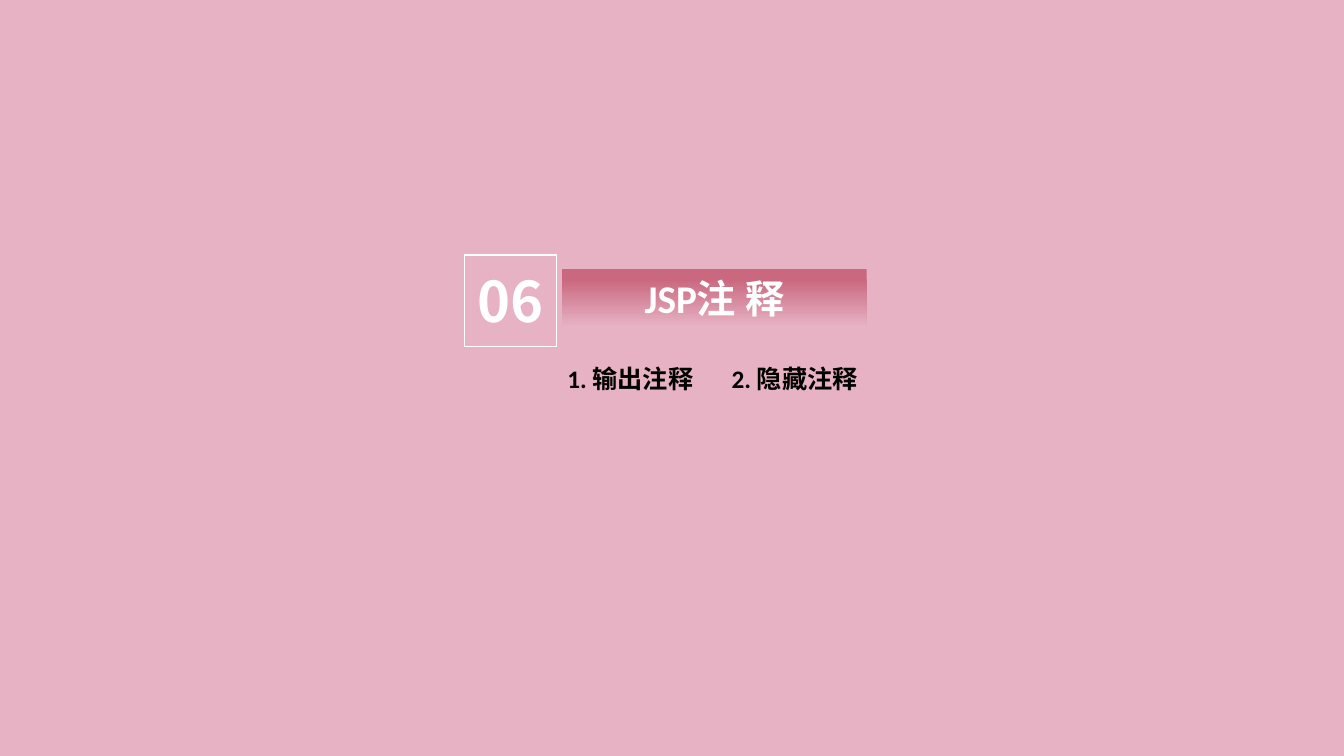
from copy import deepcopy

from lxml.etree import SubElement
from pptx import Presentation
from pptx.dml.color import RGBColor
from pptx.enum.shapes import MSO_SHAPE
from pptx.enum.text import MSO_AUTO_SIZE, PP_ALIGN
from pptx.oxml.ns import qn
from pptx.util import Cm, Pt

# Content
CHAPTER_NUMBER = "06"
CHAPTER_TITLE = "JSP注 释"
TOPICS = ["1. 输出注释", "2. 隐藏注释"]

# Style
PINK = RGBColor(0xE7, 0xB2, 0xC4)
ROSE = RGBColor(0xCA, 0x68, 0x7F)
WHITE = RGBColor(0xFF, 0xFF, 0xFF)
BLACK = RGBColor(0x00, 0x00, 0x00)
LATIN_FONT = "Calibri"
CHINESE_FONT = "Noto Sans CJK SC"
BANNER_STOPS = [(0, ROSE), (0.18, ROSE), (1, PINK)]

# Layout in centimetres: left, top, width, height
BANNER = (14.17, 6.78, 7.67, 1.45)
NUMBER = (11.71, 6.6, 2.31, 1.96)
FRAME = (11.71, 6.43, 2.31, 2.31)
TOPIC_LEFT, TOPIC_TOP, TOPIC_WIDTH, TOPIC_HEIGHT = 14.05, 9.02, 3.73, 1.02
TOPIC_PITCH = 4.14


def write(holder, text, size, color, font_name, align):
    frame = holder.text_frame
    frame.word_wrap = True
    frame.auto_size = MSO_AUTO_SIZE.SHAPE_TO_FIT_TEXT
    paragraph = frame.paragraphs[0]
    paragraph.text = text
    paragraph.alignment = align
    font = paragraph.font
    font.name, font.size, font.bold = font_name, Pt(size), True
    font.color.rgb = color
    # East Asian typeface
    run_properties = paragraph.runs[0].font._element
    SubElement(run_properties, qn("a:ea"), typeface=CHINESE_FONT)


def add_rectangle(slide, box):
    rectangle = slide.shapes.add_shape(MSO_SHAPE.RECTANGLE, *map(Cm, box))
    rectangle.shadow.inherit = False
    return rectangle


def add_text(slide, box, *style):
    write(slide.shapes.add_textbox(*map(Cm, box)), *style)


def fill_downwards(shape, stops):
    shape.fill.gradient()
    shape.fill.gradient_angle = 270
    stop_list = shape._element.spPr.find(qn("a:gradFill")).find(qn("a:gsLst"))
    while len(stop_list) < len(stops):
        stop_list.append(deepcopy(stop_list[-1]))
    for stop, (position, color) in zip(shape.fill.gradient_stops, stops):
        stop.position = position
        stop.color.rgb = color


def main():
    deck = Presentation()
    deck.slide_width, deck.slide_height = Cm(33.87), Cm(19.05)
    slide = deck.slides.add_slide(deck.slide_layouts[6])
    slide.background.fill.solid()
    slide.background.fill.fore_color.rgb = PINK

    # Title banner
    banner = add_rectangle(slide, BANNER)
    fill_downwards(banner, BANNER_STOPS)
    banner.line.fill.background()
    write(banner, CHAPTER_TITLE, 28, WHITE, LATIN_FONT, PP_ALIGN.CENTER)

    # Framed chapter number
    add_text(slide, NUMBER, CHAPTER_NUMBER, 40, WHITE, CHINESE_FONT, PP_ALIGN.CENTER)
    frame = add_rectangle(slide, FRAME)
    frame.fill.background()
    frame.line.color.rgb = WHITE
    frame.line.width = Pt(1)

    # Topics
    for index, topic in enumerate(TOPICS):
        box = (TOPIC_LEFT + index * TOPIC_PITCH, TOPIC_TOP, TOPIC_WIDTH, TOPIC_HEIGHT)
        add_text(slide, box, topic, 18, BLACK, LATIN_FONT, PP_ALIGN.LEFT)

    deck.save("out.pptx")


if __name__ == "__main__":
    main()
